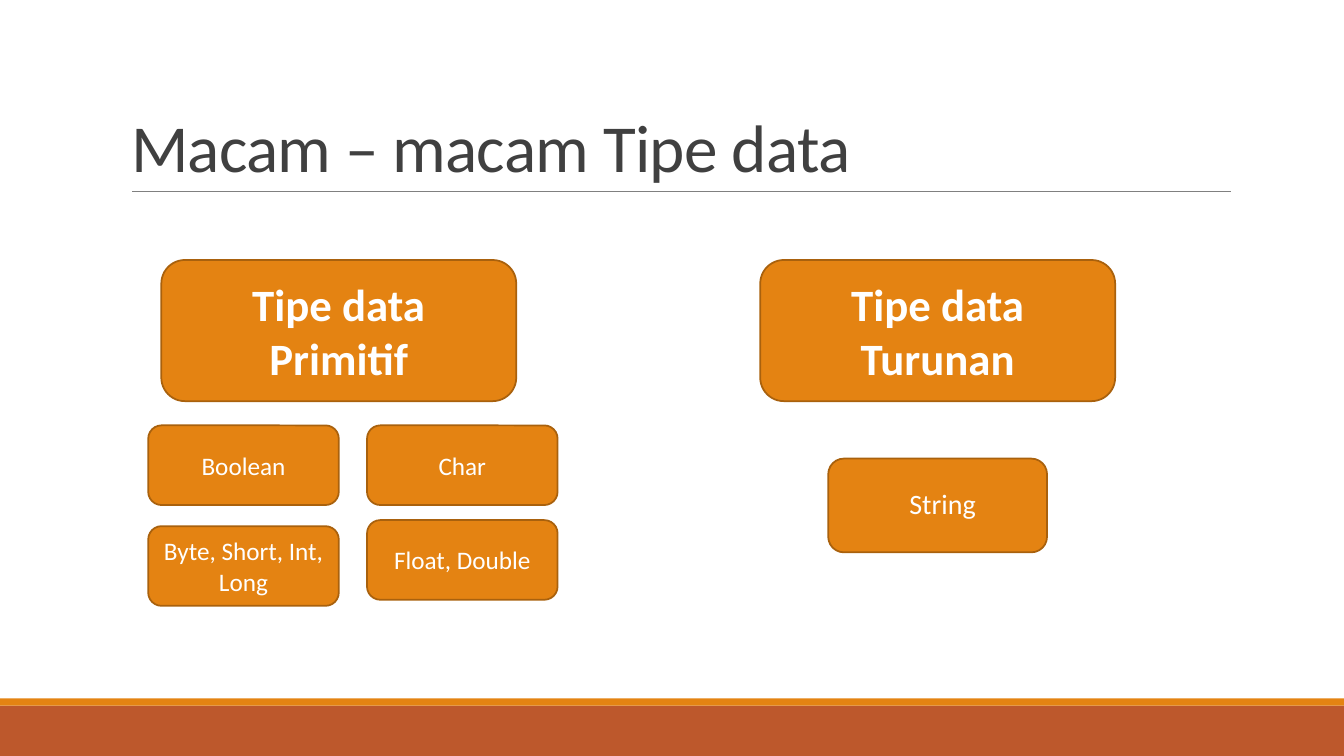
from pptx import Presentation
from pptx.dml.color import RGBColor
from pptx.enum.shapes import MSO_CONNECTOR as Connector, MSO_SHAPE as Shape
from pptx.enum.text import MSO_ANCHOR as Anchor, MSO_AUTO_SIZE as AutoSize, PP_ALIGN as Align
from pptx.oxml.ns import qn
from pptx.util import Inches, Pt

WIDTH, HEIGHT = 13.33, 7.5
ORANGE, RUST, BROWN = "E48312", "BD582C", "A9610D"
WHITE, CHARCOAL, GRAY = "FFFFFF", "404040", "808080"
HEADING_WIDTH, HEADING_HEIGHT = 3.52, 1.4


def color(value):
    """Turn a hex string into a colour."""
    return RGBColor.from_string(value)


def write(shape, text, size, ink=WHITE, bold=False, align=Align.CENTER,
          anchor=Anchor.MIDDLE, line_spacing=1.0, tracking=None, right_inset=0.1):
    """Put one formatted paragraph into a shape."""
    frame = shape.text_frame
    frame.auto_size = AutoSize.NONE
    frame.word_wrap = True
    frame.vertical_anchor = anchor
    frame.margin_right = Inches(right_inset)
    paragraph = frame.paragraphs[0]
    paragraph.alignment = align
    paragraph.line_spacing = line_spacing
    run = paragraph.add_run()
    run.text = text
    run.font.name, run.font.size, run.font.bold = "Calibri", Pt(size), bold
    run.font.color.rgb = color(ink)
    if tracking is not None:
        run._r.get_or_add_rPr().set("spc", str(round(tracking * 100)))


def add_block(slide, kind, box, fill, border=None):
    """Add a filled shape, with a border if one is named."""
    block = slide.shapes.add_shape(kind, *map(Inches, box))
    block.shadow.inherit = False
    block.fill.solid()
    block.fill.fore_color.rgb = color(fill)
    if border:
        block.line.color.rgb = color(border)
        block.line.width = Pt(1.25)
    else:
        block.line.fill.background()
    return block


def add_card(slide, box, text, size, **style):
    """Add a rounded orange card with its label."""
    write(add_block(slide, Shape.ROUNDED_RECTANGLE, box, ORANGE, BROWN), text, size, **style)


def add_footer(slide, left, top, width, height, stripe=0.07):
    """Add the bottom band with a thin stripe along its top."""
    add_block(slide, Shape.RECTANGLE, (left, top + stripe, width, height - stripe), RUST)
    add_block(slide, Shape.RECTANGLE, (left, top, width, stripe), ORANGE)


def add_title(slide, left, top, width, height, text):
    """Place the title and the rule under it."""
    bottom = top + height
    rule = slide.shapes.add_connector(
        Connector.STRAIGHT, *map(Inches, (left + 0.11, bottom, left + width + 0.01, bottom)))
    rule.line.color.rgb = color(GRAY)
    rule.line.width = Pt(0.5)
    properties = rule._element.spPr
    properties.append(properties.makeelement(qn("a:effectLst"), {}))
    title = slide.shapes.title
    title.left, title.top, title.width, title.height = map(Inches, (left, top, width, height))
    write(title, text, 48, ink=CHARCOAL, align=Align.LEFT, anchor=Anchor.BOTTOM,
          line_spacing=0.85, tracking=-0.5)


def add_primitive_types(slide, left, top, width, height):
    """Add the primitive heading above two columns of type cards."""
    add_card(slide, (left + 0.13, top, HEADING_WIDTH, HEADING_HEIGHT),
             "Tipe data Primitif", 32, bold=True)
    card_width, card_height, first_row = 1.89, 0.79, top + 1.64
    columns = (
        (left, 1.0, ("Boolean", "Byte, Short, Int, Long")),
        (left + width - card_width, 0.94, ("Char", "Float, Double")),
    )
    for column_left, pitch, labels in columns:
        for row, label in enumerate(labels):
            add_card(slide, (column_left, first_row + row * pitch, card_width, card_height),
                     label, 18)


def add_derived_types(slide, left, top, width, height):
    """Add the derived heading and its card centred at the bottom."""
    add_card(slide, (left, top, width, HEADING_HEIGHT), "Tipe data Turunan", 32, bold=True)
    card_width, card_height = 2.17, 0.93
    card_left = left + (width - card_width) / 2
    add_card(slide, (card_left, top + height - card_height, card_width, card_height),
             "String", 20, line_spacing=0.9, right_inset=0)


def main():
    """Build the slide and save it."""
    deck = Presentation()
    deck.slide_width, deck.slide_height = Inches(WIDTH), Inches(HEIGHT)
    slide = deck.slides.add_slide(deck.slide_layouts[5])
    add_footer(slide, 0, HEIGHT - 0.57, WIDTH, 0.57)
    add_title(slide, 1.2, 0.31, 11, 1.59, "Macam – macam Tipe data")
    add_primitive_types(slide, 1.47, 2.58, 4.06, 3.43)
    add_derived_types(slide, 7.54, 2.58, HEADING_WIDTH, 2.9)
    deck.save("out.pptx")


if __name__ == "__main__":
    main()
